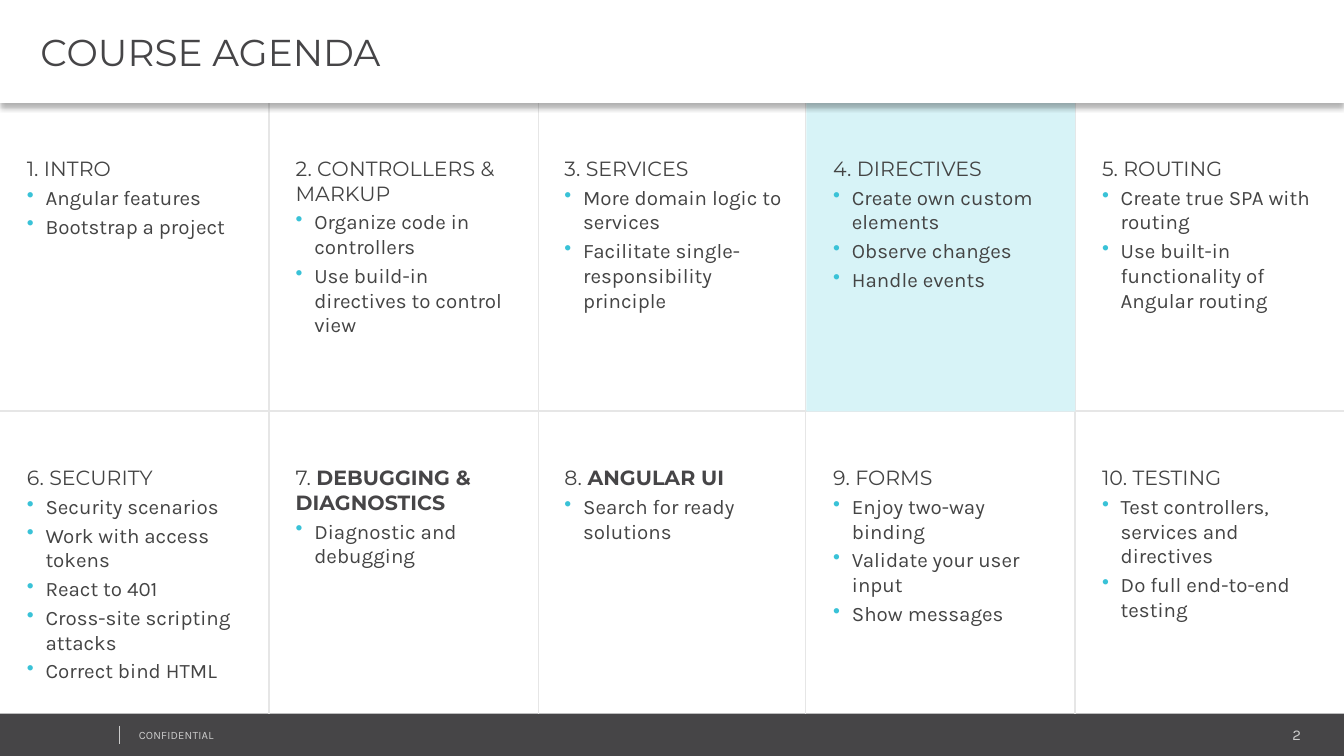
from lxml.etree import SubElement
from pptx import Presentation
from pptx.dml.color import RGBColor
from pptx.enum.shapes import MSO_CONNECTOR, MSO_SHAPE
from pptx.enum.text import MSO_ANCHOR, MSO_AUTO_SIZE, PP_ALIGN
from pptx.oxml.ns import qn
from pptx.util import Pt

WHITE = RGBColor(0xFF, 0xFF, 0xFF)
CHARCOAL = RGBColor(0x46, 0x45, 0x47)
TEXT_GRAY = RGBColor(0x44, 0x44, 0x44)
FOOTER_GRAY = RGBColor(0xCC, 0xCC, 0xCC)
GRID_GRAY = RGBColor(0xE6, 0xE6, 0xE6)
TEAL = RGBColor(0x39, 0xC2, 0xD7)
HIGHLIGHT = RGBColor(0xD7, 0xF3, 0xF7)
HEADING_FONT, BODY_FONT = "Montserrat", "Karla"

WIDTH, HEIGHT = 720, 405
HEADER_HEIGHT, GRID_TOP, FOOTER_TOP = 55.2, 54.8, 382.3
COLUMNS, CELL_WIDTH, CELL_HEIGHT = 5, 144, 165.6
COLUMN_LINES = (144, 288.5, 431.5, 576)
CURRENT_TOPIC = 4

# Topic title, bold or not, bullet points
TOPICS = [
    ("INTRO", False, ["Angular features", "Bootstrap a project"]),
    ("CONTROLLERS & MARKUP", False,
     ["Organize code in controllers", "Use build-in directives to control view"]),
    ("SERVICES", False,
     ["More domain logic to services", "Facilitate single-responsibility principle"]),
    ("DIRECTIVES", False,
     ["Create own custom elements", "Observe changes", "Handle events"]),
    ("ROUTING", False,
     ["Create true SPA with routing", "Use built-in functionality of Angular routing"]),
    ("SECURITY", False,
     ["Security scenarios", "Work with access tokens", "React to 401",
      "Cross-site scripting attacks", "Correct bind HTML"]),
    ("DEBUGGING & DIAGNOSTICS", True, ["Diagnostic and debugging"]),
    ("ANGULAR UI", True, ["Search for ready solutions"]),
    ("FORMS", False,
     ["Enjoy two-way binding", "Validate your user input", "Show messages"]),
    ("TESTING", False,
     ["Test controllers, services and directives", "Do full end-to-end testing"]),
]


def add_span(para, text, font, size, color, bold=False):
    span = para.add_run()
    span.text = text
    span.font.name = font
    span.font.size = Pt(size)
    span.font.bold = bold
    span.font.color.rgb = color
    return span


def set_frame(box, left, top, right, bottom, anchor=MSO_ANCHOR.TOP):
    frame = box.text_frame
    frame.word_wrap = True
    frame.auto_size = MSO_AUTO_SIZE.NONE
    frame.vertical_anchor = anchor
    frame.margin_left, frame.margin_top = Pt(left), Pt(top)
    frame.margin_right, frame.margin_bottom = Pt(right), Pt(bottom)
    return frame


def add_rectangle(page, left, top, width, height, color):
    box = page.shapes.add_shape(
        MSO_SHAPE.RECTANGLE, Pt(left), Pt(top), Pt(width), Pt(height))
    box.shadow.inherit = False
    box.fill.solid()
    box.fill.fore_color.rgb = color
    box.line.fill.background()
    return box


def add_line(page, x1, y1, x2, y2, color, width):
    line = page.shapes.add_connector(
        MSO_CONNECTOR.STRAIGHT, Pt(x1), Pt(y1), Pt(x2), Pt(y2))
    line.line.color.rgb = color
    line.line.width = Pt(width)
    SubElement(line.element.spPr, qn("a:effectLst"))


def add_bullet(para):
    properties = para._p.get_or_add_pPr()
    properties.set("marL", str(Pt(10)))
    properties.set("indent", str(Pt(-10)))
    color = SubElement(properties, qn("a:buClr"))
    SubElement(color, qn("a:srgbClr"), val=str(TEAL))
    SubElement(properties, qn("a:buChar"), char="•")


def add_header(page, left, top, width, height):
    title = page.shapes.title
    title.left, title.top, title.width, title.height = (
        Pt(left), Pt(top), Pt(width), Pt(height))
    title.fill.solid()
    title.fill.fore_color.rgb = WHITE
    para = set_frame(title, 21.6, 3, 5, 3, MSO_ANCHOR.MIDDLE).paragraphs[0]
    para.alignment = PP_ALIGN.LEFT
    add_span(para, "COURSE AGENDA", HEADING_FONT, 20, CHARCOAL)
    # Soft shadow below the header
    effects = SubElement(title.element.spPr, qn("a:effectLst"))
    shadow = SubElement(effects, qn("a:outerShdw"), blurRad=str(Pt(3.1)),
                        dist=str(Pt(2)), dir="5400000", algn="t", rotWithShape="0")
    color = SubElement(shadow, qn("a:srgbClr"), val="000000")
    SubElement(color, qn("a:alpha"), val="30000")
    # The header lies above the grid
    title.element.getparent().append(title.element)


def add_topic(page, left, top, width, height, number, topic):
    name, bold, points = topic
    if number == CURRENT_TOPIC:
        box = add_rectangle(page, left, top, width, height, HIGHLIGHT)
    else:
        box = page.shapes.add_textbox(Pt(left), Pt(top), Pt(width), Pt(height))
    frame = set_frame(box, 14.4, 28.8, 7.2, 3.6)
    # Heading
    heading = frame.paragraphs[0]
    heading.alignment = PP_ALIGN.LEFT
    add_span(heading, f"{number}. ", HEADING_FONT, 11, TEXT_GRAY)
    add_span(heading, name, HEADING_FONT, 11, CHARCOAL if bold else TEXT_GRAY, bold)
    # Bullet points
    for point in points:
        para = frame.add_paragraph()
        add_bullet(para)
        para.alignment = PP_ALIGN.LEFT
        para.space_before = Pt(2.2)
        add_span(para, point, BODY_FONT, 11, TEXT_GRAY)


def add_agenda(page, left, top, width, bottom):
    # Grid lines
    for x in COLUMN_LINES:
        add_line(page, left + x, top, left + x, bottom, GRID_GRAY, 1)
    middle = top + CELL_HEIGHT
    add_line(page, left, middle, left + width, middle, GRID_GRAY, 1)
    # Topics
    for index, topic in enumerate(TOPICS):
        row, column = divmod(index, COLUMNS)
        add_topic(page, left + column * CELL_WIDTH, top + row * CELL_HEIGHT,
                  CELL_WIDTH, CELL_HEIGHT, index + 1, topic)


def add_footer(page, left, top, width, height):
    add_rectangle(page, left, top, width, height, CHARCOAL)
    # Page number
    box = page.shapes.add_textbox(Pt(left + 584.6), Pt(top + 3.6), Pt(117.4), Pt(15))
    para = set_frame(box, 5, 3, 5, 3).paragraphs[0]
    para.alignment = PP_ALIGN.RIGHT
    add_span(para, "2", BODY_FONT, 8, FOOTER_GRAY)
    # Confidentiality note
    box = page.shapes.add_textbox(Pt(left + 69.4), Pt(top + 5), Pt(182), Pt(13))
    para = set_frame(box, 5, 3, 5, 3).paragraphs[0]
    span = add_span(para, "CONFIDENTIAL", BODY_FONT, 6, FOOTER_GRAY)
    span._r.get_or_add_rPr().set("spc", "10")
    add_line(page, left + 64, top + 6.5, left + 64, top + 16.5, FOOTER_GRAY, 0.25)


def main():
    deck = Presentation()
    deck.slide_width, deck.slide_height = Pt(WIDTH), Pt(HEIGHT)
    page = deck.slides.add_slide(deck.slide_layouts[5])
    add_footer(page, 0, FOOTER_TOP, WIDTH, HEIGHT - FOOTER_TOP)
    add_agenda(page, 0, GRID_TOP, WIDTH, FOOTER_TOP)
    add_header(page, 0, 0, WIDTH, HEADER_HEIGHT)
    deck.save("out.pptx")


if __name__ == "__main__":
    main()
